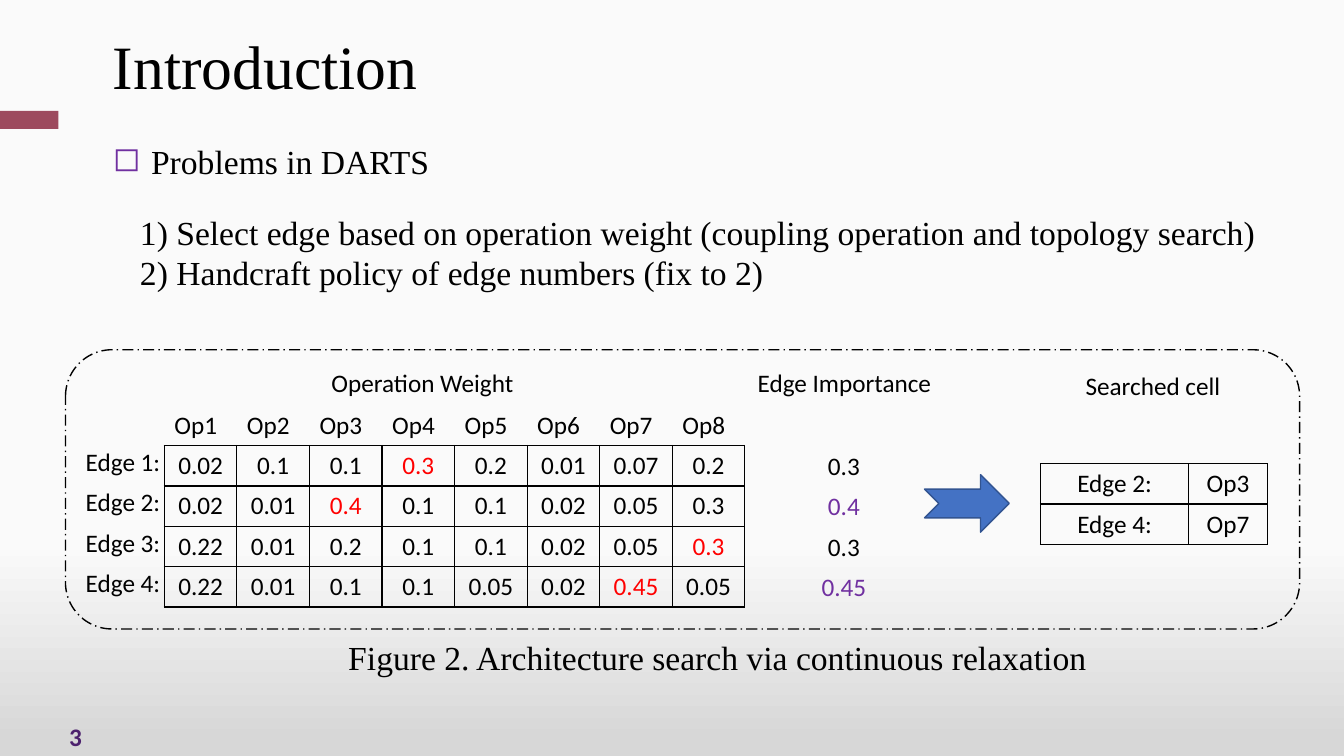
from lxml.etree import SubElement
from pptx import Presentation
from pptx.dml.color import RGBColor
from pptx.enum.dml import MSO_LINE
from pptx.enum.shapes import MSO_SHAPE
from pptx.enum.text import MSO_ANCHOR, PP_ALIGN
from pptx.oxml.ns import qn
from pptx.util import Inches, Pt

TITLE = "Introduction"
TOPIC = "Problems in DARTS"
PROBLEMS = [
    "1) Select edge based on operation weight (coupling operation and topology search)",
    "2) Handcraft policy of edge numbers (fix to 2)",
]
CAPTION = "Figure 2. Architecture search via continuous relaxation"
PAGE_NUMBER = "3"
OPERATIONS = ["Op1", "Op2", "Op3", "Op4", "Op5", "Op6", "Op7", "Op8"]
WEIGHTS = {
    "Edge 1:": ["0.02", "0.1", "0.1", "0.3", "0.2", "0.01", "0.07", "0.2"],
    "Edge 2:": ["0.02", "0.01", "0.4", "0.1", "0.1", "0.02", "0.05", "0.3"],
    "Edge 3:": ["0.22", "0.01", "0.2", "0.1", "0.1", "0.02", "0.05", "0.3"],
    "Edge 4:": ["0.22", "0.01", "0.1", "0.1", "0.05", "0.02", "0.45", "0.05"],
}
KEPT_EDGES = 2
HEADINGS = [
    ("Operation Weight", 1.99, 3.59, 4.4),
    ("Edge Importance", 7.12, 3.59, 2.51),
    ("Searched cell", 10.64, 3.62, 1.59),
]
COLORS = {
    "text": "000000", "best": "FF0000", "kept": "7030A0", "number": "4C216D",
    "accent": "9D4A5E", "arrow": "4472C4", "arrow_line": "325491",
    "sky": "FAFAFA", "ground": "D7D7D7",
}
SERIF, SANS = "Times New Roman", "Calibri"
ROW, COLUMN = 0.4, 0.72
GRID_LEFT, GRID_TOP = 1.63, 4.02
BODY_TOP = GRID_TOP + ROW

deck = Presentation()
deck.slide_width, deck.slide_height = Inches(13.33), Inches(7.5)
page = deck.slides.add_slide(deck.slide_layouts[6])


def color(name):
    return RGBColor.from_string(COLORS[name])


def write(frame, lines, size=18, font=SANS, tint="text", align=PP_ALIGN.CENTER, bold=False):
    frame.text = "\n".join(lines)
    for para in frame.paragraphs:
        para.alignment = align
        for span in para.runs:
            span.font.size, span.font.name, span.font.bold = Pt(size), font, bold
            span.font.color.rgb = color(tint)


def add_text(lines, left, top, width, height=ROW, wrap=True, anchor=MSO_ANCHOR.TOP, **style):
    box = page.shapes.add_textbox(*map(Inches, (left, top, width, height)))
    box.text_frame.word_wrap = wrap
    box.text_frame.vertical_anchor = anchor
    write(box.text_frame, lines, **style)
    return box.text_frame.paragraphs[0]


def add_shape(kind, left, top, width, height, fill=None, line=None):
    shape = page.shapes.add_shape(kind, *map(Inches, (left, top, width, height)))
    shape.shadow.inherit = False
    if fill:
        shape.fill.solid()
        shape.fill.fore_color.rgb = color(fill)
    else:
        shape.fill.background()
    if line:
        shape.line.color.rgb = color(line)
        shape.line.width = Pt(1)
    else:
        shape.line.fill.background()
    return shape


def set_borders(cell, sides):
    properties = cell._tc.get_or_add_tcPr()
    for side in "LRTB":
        border = SubElement(properties, qn(f"a:ln{side}"), w=str(Pt(1)))
        if side in sides:
            fill = SubElement(border, qn("a:solidFill"))
            SubElement(fill, qn("a:srgbClr"), val=COLORS["text"])
        else:
            SubElement(border, qn("a:noFill"))


def add_grid(rows, left, top, widths, header=False):
    frame = page.shapes.add_table(
        len(rows), len(widths), Inches(left), Inches(top),
        Inches(sum(widths)), Inches(ROW * len(rows)))
    table = frame.table
    table.first_row = table.horz_banding = False
    for column, width in zip(table.columns, widths):
        column.width = Inches(width)
    for i, values in enumerate(rows):
        table.rows[i].height = Inches(ROW)
        is_header = header and i == 0
        for j, value in enumerate(values):
            cell = table.cell(i, j)
            set_borders(cell, "B" if is_header else "LRTB")
            cell.fill.background()
            is_best = header and not is_header and value == max(values, key=float)
            write(cell.text_frame, [value], tint="best" if is_best else "text",
                  align=PP_ALIGN.LEFT if is_header else PP_ALIGN.CENTER)


backdrop = page.background.fill
backdrop.gradient()
backdrop.gradient_angle = 270
for stop, position, name in zip(backdrop.gradient_stops, (0.72, 0.98), ("sky", "ground")):
    stop.position = position
    stop.color.rgb = color(name)

add_text([PAGE_NUMBER], 0.43, 7.13, 0.64, 0.35, anchor=MSO_ANCHOR.MIDDLE,
         tint="number", bold=True)
add_shape(MSO_SHAPE.RECTANGLE, 0, 1.1, 0.58, 0.18, fill="accent")

title = add_text([TITLE], 1.02, 0.28, 9.6, 0.81, anchor=MSO_ANCHOR.MIDDLE,
                 size=44, font=SERIF, align=PP_ALIGN.LEFT)
title.line_spacing = 0.9
topic = add_text([TOPIC], 1.02, 1.35, 7.92, 0.5, size=24, font=SERIF, align=PP_ALIGN.LEFT)
bullet = topic._p.get_or_add_pPr()
bullet.set("marL", str(Inches(0.38)))
bullet.set("indent", str(-Inches(0.38)))
SubElement(SubElement(bullet, qn("a:buClr")), qn("a:srgbClr"), val=COLORS["kept"])
SubElement(bullet, qn("a:buChar"), char="◻")
add_text(PROBLEMS, 1.29, 2.05, 11.36, 0.91, wrap=False, size=24, font=SERIF,
         align=PP_ALIGN.LEFT)

importance = {edge: max(values, key=float) for edge, values in WEIGHTS.items()}
ranked = sorted(importance, key=lambda edge: float(importance[edge]), reverse=True)
kept = sorted(ranked[:KEPT_EDGES])
searched = [(edge, OPERATIONS[WEIGHTS[edge].index(importance[edge])]) for edge in kept]

add_grid([OPERATIONS, *WEIGHTS.values()], GRID_LEFT, GRID_TOP,
         [COLUMN] * len(OPERATIONS), header=True)
for text, left, top, width in HEADINGS:
    add_text([text], left, top, width)
for i, (edge, value) in enumerate(importance.items()):
    top = BODY_TOP + i * ROW
    add_text([edge], 0.65, top - 0.04, 1.14)
    add_text([value], 7.88, top, 0.98, tint="kept" if edge in kept else "text")
add_text([CAPTION], 2.85, 6.27, 8.53, 0.5, size=24, font=SERIF)

panel = add_shape(MSO_SHAPE.ROUNDED_RECTANGLE, 0.65, 3.47, 12.24, 2.77, line="text")
panel.line.dash_style = MSO_LINE.LONG_DASH_DOT
add_grid(searched, 10.32, 4.6, [1.47, 0.78])
add_shape(MSO_SHAPE.NOTCHED_RIGHT_ARROW, 9.17, 4.71, 0.84, 0.57,
          fill="arrow", line="arrow_line")

deck.save("out.pptx")
